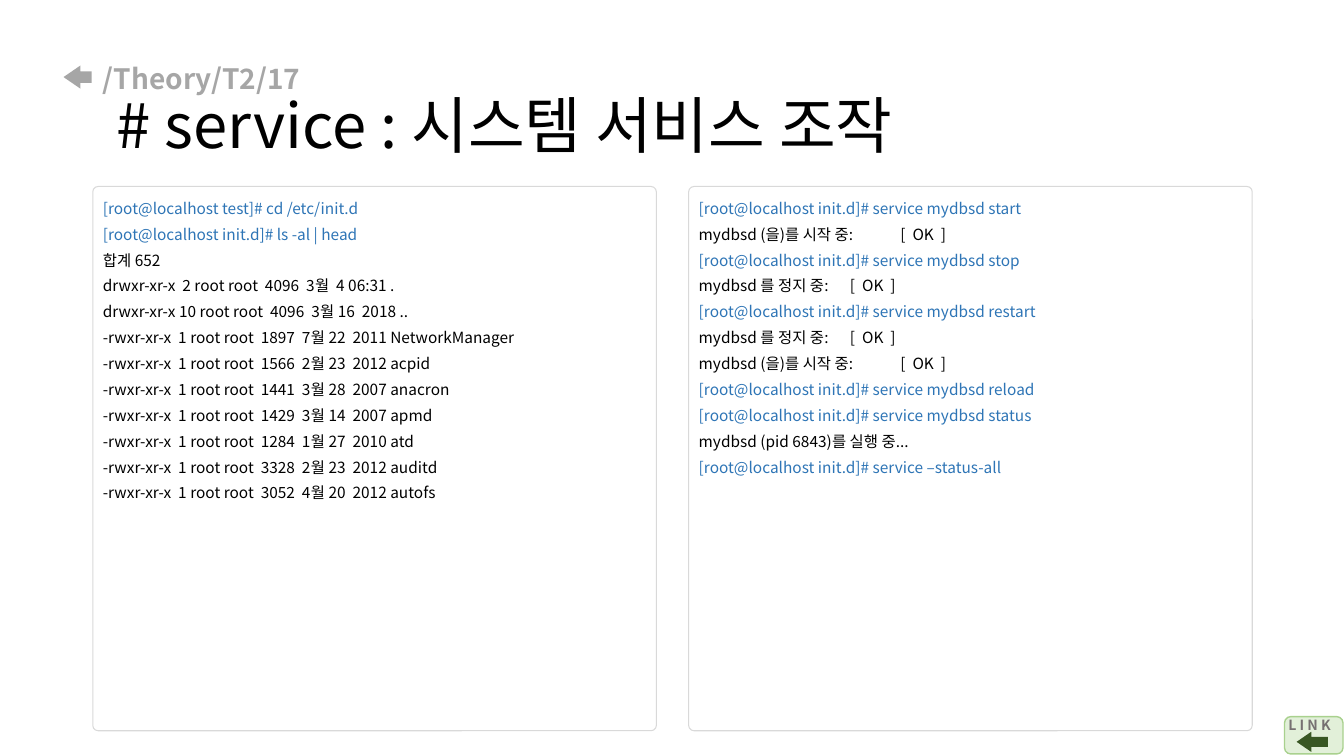
from lxml.etree import SubElement
from pptx import Presentation
from pptx.dml.color import RGBColor
from pptx.enum.shapes import MSO_SHAPE as Preset
from pptx.enum.text import MSO_ANCHOR as Anchor, MSO_AUTO_SIZE as AutoSize, PP_ALIGN as Align
from pptx.oxml.ns import qn
from pptx.util import Inches, Pt

FONT = "Noto Sans CJK KR"
BLACK, BLUE, GRAY = "000000", "2E75B6", "A6A6A6"
TITLE = [
    ("/Theory/T2/17", dict(size=Pt(20), bold=True), GRAY),
    (" # service : 시스템 서비스 조작", dict(size=Pt(44), bold=False), BLACK),
]
STARTING = "mydbsd (을)를 시작 중:\t[  OK  ]"
STOPPING = "mydbsd 를 정지 중:\t[  OK  ]"
CONSOLES = [
    [
        "[root@localhost test]# cd /etc/init.d",
        "[root@localhost init.d]# ls -al | head",
        "합계 652",
        "drwxr-xr-x  2 root root  4096  3월  4 06:31 .",
        "drwxr-xr-x 10 root root  4096  3월 16  2018 ..",
        "-rwxr-xr-x  1 root root  1897  7월 22  2011 NetworkManager",
        "-rwxr-xr-x  1 root root  1566  2월 23  2012 acpid",
        "-rwxr-xr-x  1 root root  1441  3월 28  2007 anacron",
        "-rwxr-xr-x  1 root root  1429  3월 14  2007 apmd",
        "-rwxr-xr-x  1 root root  1284  1월 27  2010 atd",
        "-rwxr-xr-x  1 root root  3328  2월 23  2012 auditd",
        "-rwxr-xr-x  1 root root  3052  4월 20  2012 autofs",
    ],
    [
        "[root@localhost init.d]# service mydbsd start",
        STARTING,
        "[root@localhost init.d]# service mydbsd stop",
        STOPPING,
        "[root@localhost init.d]# service mydbsd restart",
        STOPPING,
        STARTING,
        "[root@localhost init.d]# service mydbsd reload",
        "[root@localhost init.d]# service mydbsd status",
        "mydbsd (pid 6843)를 실행 중...",
        "[root@localhost init.d]# service –status-all",
    ],
]
TAB_STOPS = {STARTING: 2.91, STOPPING: 2.73}
LEFT, TOP, WIDTH, HEIGHT, STEP = 0.92, 1.85, 5.59, 5.4, 5.91


def color(value):
    return RGBColor.from_string(value)


def apply(target, values):
    for name, value in values.items():
        setattr(target, name, value)


def place(item, left, top, width, height):
    apply(item, dict(left=Inches(left), top=Inches(top),
                     width=Inches(width), height=Inches(height)))


def add_span(para, text, values, shade):
    span = para.add_run()
    span.text = text
    apply(span.font, dict(name=FONT, **values))
    span.font.color.rgb = color(shade)
    SubElement(span.font._element, qn("a:ea"), typeface=FONT)


def add_box(preset, at, adjustments=(), fill=None, line=None, weight=0):
    box = page.shapes.add_shape(preset, *map(Inches, at))
    box.shadow.inherit = False
    for index, value in enumerate(adjustments):
        box.adjustments[index] = value
    if fill:
        box.fill.solid()
        box.fill.fore_color.rgb = color(fill)
    else:
        box.fill.background()
    if line:
        box.line.color.rgb = color(line)
        box.line.width = Pt(weight)
    else:
        box.line.fill.background()


def add_arrow(at, fill):
    add_box(Preset.LEFT_ARROW, at, (0.5, 0.73), fill)


def fill_console(body, lines):
    frame = body.text_frame
    apply(frame, dict(word_wrap=True, auto_size=AutoSize.NONE, vertical_anchor=Anchor.TOP))
    for index, text in enumerate(lines):
        para = frame.add_paragraph() if index else frame.paragraphs[0]
        apply(para, dict(line_spacing=1.4, space_before=Pt(0), space_after=Pt(0),
                         alignment=Align.LEFT))
        settings = para._p.get_or_add_pPr()
        settings.set("marL", "0")
        settings.set("indent", "0")
        SubElement(settings, qn("a:buNone"))
        if text in TAB_STOPS:
            stops = SubElement(settings, qn("a:tabLst"))
            SubElement(stops, qn("a:tab"), pos=str(Inches(TAB_STOPS[text])), algn="l")
        add_span(para, text, dict(size=Pt(11)), BLUE if text.startswith("[root") else BLACK)


deck = Presentation()
deck.slide_width, deck.slide_height = Inches(13.33), Inches(7.5)
page = deck.slides.add_slide(deck.slide_layouts[3])
title, *bodies = page.placeholders

place(title, LEFT, 0.4, 11.5, 1.45)
apply(title.text_frame, dict(word_wrap=True, auto_size=AutoSize.NONE,
                             vertical_anchor=Anchor.MIDDLE))
heading = title.text_frame.paragraphs[0]
apply(heading, dict(alignment=Align.LEFT, line_spacing=0.9))
for index, (text, values, shade) in enumerate(TITLE):
    if index:
        heading.add_line_break()
    add_span(heading, text, values, shade)

for column, (body, lines) in enumerate(zip(bodies, CONSOLES)):
    at = (LEFT + column * STEP, TOP, WIDTH, HEIGHT)
    add_box(Preset.ROUNDED_RECTANGLE, at, (0.01,), line="D9D9D9")
    place(body, *at)
    fill_console(body, lines)

add_arrow((0.63, 0.65, 0.28, 0.23), GRAY)
add_box(Preset.ROUNDED_RECTANGLE, (12.74, 7.11, 0.58, 0.37), fill="E2F0D9",
        line="A9D18E", weight=1)
label = page.shapes.add_textbox(*map(Inches, (12.68, 7.06, 0.65, 0.44)))
apply(label.text_frame, dict(word_wrap=True, margin_right=0))
add_span(label.text_frame.paragraphs[0], "L I N K", dict(size=Pt(10), bold=True), "767171")
add_arrow((12.86, 7.26, 0.31, 0.2), "385723")

deck.save("out.pptx")
